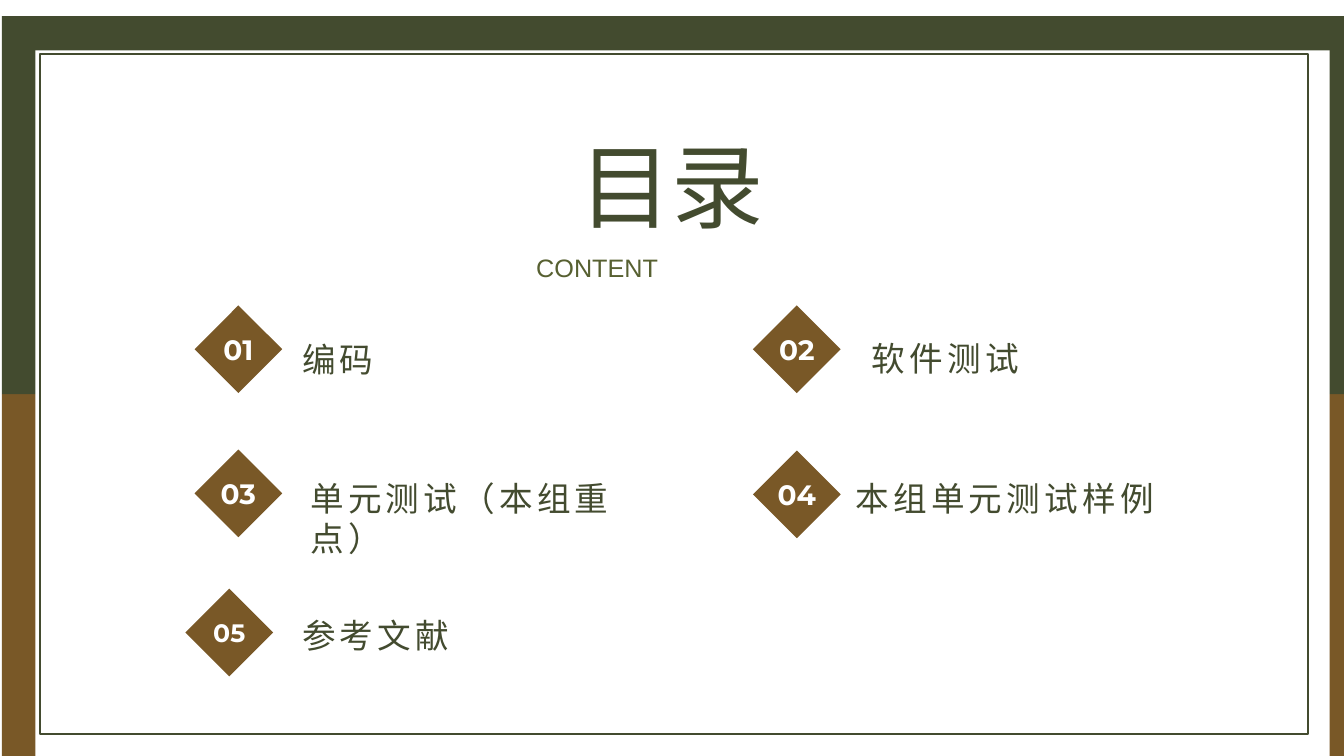
from dataclasses import dataclass
from pptx import Presentation
from pptx.dml.color import RGBColor
from pptx.enum.shapes import MSO_SHAPE
from pptx.enum.text import MSO_ANCHOR, MSO_AUTO_SIZE, PP_ALIGN
from pptx.oxml.ns import qn
from pptx.util import Inches, Pt
from lxml import etree

RECT, DIAMOND = MSO_SHAPE.RECTANGLE, MSO_SHAPE.DIAMOND
TOP, MIDDLE = MSO_ANCHOR.TOP, MSO_ANCHOR.MIDDLE
LEFT, CENTER, JUSTIFY = PP_ALIGN.LEFT, PP_ALIGN.CENTER, PP_ALIGN.JUSTIFY
GROW, FIXED = MSO_AUTO_SIZE.SHAPE_TO_FIT_TEXT, MSO_AUTO_SIZE.NONE


@dataclass(frozen=True)
class Theme:
    green: str = "434B2F"
    brown: str = "795827"
    olive: str = "576031"
    white: str = "FFFFFF"
    han: str = "Noto Sans CJK SC"
    digit: str = "Montserrat"
    latin: str = "Arial"
    title: int = 66
    label: int = 24
    number: int = 20
    small: int = 18
    line: float = 1.5
    gap: int = 3


class Board:
    COLS, ROWS = 160, 90

    def __init__(self, deck, theme):
        self.deck, self.theme = deck, theme
        self.slide = deck.slides.add_slide(deck.slide_layouts[5])

    def area(self, x, y, w, h):
        col = self.deck.slide_width / self.COLS
        row = self.deck.slide_height / self.ROWS
        return round(x * col), round(y * row), round(w * col), round(h * row)

    def shape(self, kind, box, fill=None, line=None):
        item = self.slide.shapes.add_shape(kind, *self.area(*box))
        item.shadow.inherit = False
        if fill:
            item.fill.solid()
            item.fill.fore_color.rgb = RGBColor.from_string(fill)
        else:
            item.fill.background()
        if line:
            item.line.color.rgb = RGBColor.from_string(line)
            item.line.width = Pt(self.theme.line)
        else:
            item.line.fill.background()

    def letter(self, item, text, size, font, color, align=LEFT, anchor=TOP,
               bold=False, gap=0, inset=True, grow=True, wrap=True):
        frame = item.text_frame
        frame.word_wrap = wrap
        frame.auto_size = GROW if grow else FIXED
        frame.vertical_anchor = anchor
        if not inset:
            frame.margin_left = frame.margin_right = 0
            frame.margin_top = frame.margin_bottom = 0
        para = frame.paragraphs[0]
        para.alignment = align
        run = para.add_run()
        run.text = text
        run.font.size, run.font.name, run.font.bold = Pt(size), font, bold
        run.font.color.rgb = RGBColor.from_string(color)
        props = run._r.get_or_add_rPr()
        etree.SubElement(props, qn("a:ea")).set("typeface", font)
        if gap:
            props.set("spc", str(gap * 100))

    def text(self, box, *words, **style):
        item = self.slide.shapes.add_textbox(*self.area(*box))
        self.letter(item, *words, **style)

    def title(self, box, text):
        item = self.slide.shapes.title
        item.element.getparent().append(item.element)
        item.left, item.top, item.width, item.height = self.area(*box)
        self.letter(item, text, self.theme.title, self.theme.han,
                    self.theme.green, align=CENTER, inset=False, wrap=False)

    def badge(self, x, y, text, size):
        side = 10.44
        self.shape(DIAMOND, (x, y, side, side), fill=self.theme.brown)
        wide, high = 8.4, 6.24
        box = (x + (side - wide) / 2, y + (side - high) / 2, wide, high)
        self.text(box, text, size, self.theme.digit, self.theme.white,
                  align=CENTER, anchor=MIDDLE, bold=True, inset=False,
                  grow=False)

    def label(self, x, y, wide, text):
        self.text((x, y, wide, 6), text, self.theme.label, self.theme.han,
                  self.theme.green, gap=self.theme.gap)


deck = Presentation()
deck.slide_width, deck.slide_height = Inches(13.33), Inches(7.5)
theme = Theme()
board = Board(deck, theme)

for y, color in ((46.92, theme.brown), (1.92, theme.green)):
    board.shape(RECT, (0.24, y, 160, 45), fill=color)
board.shape(RECT, (4.2, 6, 154.08, 84.48), fill=theme.white)
board.shape(RECT, (4.8, 6.48, 150.96, 80.88), line=theme.green)

board.title((68.88, 15.36, 22.2, 13.32), "目录")
board.text((63.84, 30, 32.28, 3.6), "CONTENT", theme.small, theme.latin,
           theme.olive, align=JUSTIFY, inset=False)

near, far, wide = 23.16, 89.64, 45.48
topics = (
    (near, 36.36, theme.number, 34.8, 39.72, wide, "编码"),
    (far, 36.36, theme.number, 102.6, 39.6, wide, "软件测试"),
    (near, 53.52, theme.number, 35.76, 56.28, wide, "单元测试（本组重点）"),
    (far, 53.64, theme.number, 100.68, 56.28, wide, "本组单元测试样例"),
    (22.08, 70.08, theme.small, 34.8, 72.6, 34.08, "参考文献"),
)
for rank, (x, y, size, left, top, span, name) in enumerate(topics, 1):
    board.badge(x, y, f"{rank:02}", size)
    board.label(left, top, span, name)

deck.save("out.pptx")
